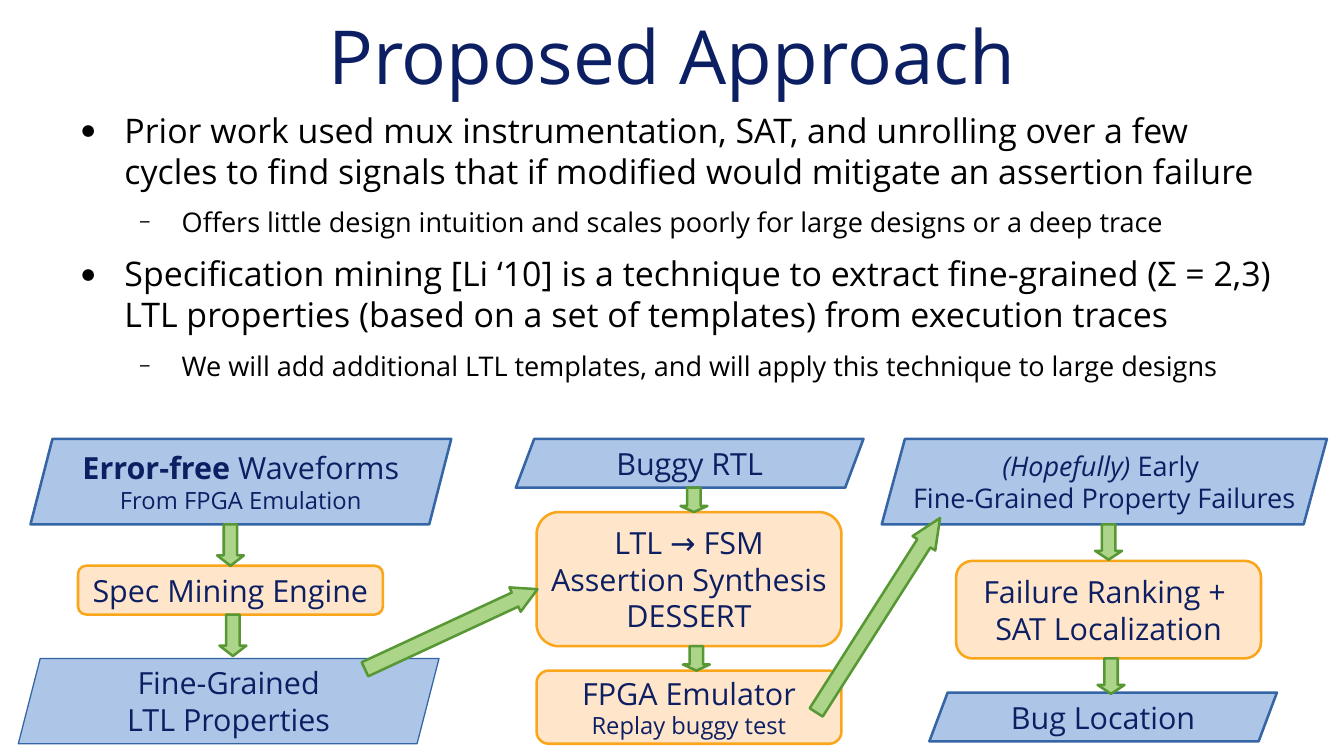
import pptx
import pptx.util
import pptx.dml.color
import pptx.enum.shapes
import pptx.enum.text
import pptx.oxml
from dataclasses import dataclass

# Content: text pieces are (text, format) pairs, one list per paragraph
TITLE = "Proposed Approach"
BULLETS = [
    (0, "Prior work used mux instrumentation, SAT, and unrolling over a few cycles "
        "to find signals that if modified would mitigate an assertion failure"),
    (1, "Offers little design intuition and scales poorly for large designs or a deep trace"),
    (0, "Specification mining [Li ‘10] is a technique to extract fine-grained (Σ = 2,3) "
        "LTL properties (based on a set of templates) from execution traces"),
    (1, "We will add additional LTL templates, and will apply this technique to large designs"),
]
BOLD, ITALIC, SMALL, MEDIUM = {"bold": True}, {"italic": True}, {"size": 14}, {"size": 16}

# Data: (left, top, width, height), slant, line width, paragraphs
DATA = [
    ((25, 360, 345, 70), 18, 1.5, [[("Error-free", BOLD), (" Waveforms", {})],
                                   [("From FPGA Emulation", SMALL)]]),
    ((15, 540, 345, 70), 18, 0, [[("Fine-Grained", {})], [("LTL Properties", {})]]),
    ((423, 360, 285, 40), 15, 1.5, [[("Buggy RTL", {})]]),
    ((723, 360, 365, 70), 19, 1.5, [[("(Hopefully)", MEDIUM | ITALIC), (" Early ", MEDIUM)],
                                    [("Fine-Grained Property Failures", MEDIUM)]]),
    ((762, 568, 285, 40), 15, 1.5, [[("Bug Location", {})]]),
]
# Steps: (left, top, height), paragraphs
STEPS = [
    ((64, 464, 40), [[("Spec Mining Engine", {})]]),
    ((440, 420, 110), [[("LTL → FSM", {})], [("Assertion Synthesis", {})], [("DESSERT", {})]]),
    ((440, 550, 60), [[("FPGA Emulator", {})], [("Replay buggy test", SMALL)]]),
    ((784, 460, 80), [[("Failure Ranking + ", {})], [("SAT Localization", {})]]),
]
STEP_W = 250
# Arrows: (left, top, length, rotation)
ARROWS = [
    (178, 430, 34, 0), (180, 504, 34, 0),
    (558, 400, 20, 0), (560, 530, 20, 0),
    (898, 430, 29, 0), (900, 540, 29, 0),
    (359, 438, 156, 245.1), (709, 410, 189, 212.5),
]
ARROW_W = 22


@dataclass
class Theme:
    font: str = "Open Sans"
    navy: str = "0D1F63"
    black: str = "000000"
    data: tuple = ("ADC5E7", "3465A4")
    step: tuple = ("FFE5CA", "FAA61A")
    arrow: tuple = ("ADD58A", "579835")
    title_size: int = 44
    box_size: int = 18
    bullet_sizes: tuple = (20, 16)


T = Theme()
PX = 9144  # 100 px to the inch
SHAPE = pptx.enum.shapes.MSO_SHAPE
ALIGN = pptx.enum.text.PP_ALIGN
ANCHOR = pptx.enum.text.MSO_ANCHOR


def px(*lengths):
    return [pptx.util.Emu(n * PX) for n in lengths]


def rgb(colour):
    return pptx.dml.color.RGBColor.from_string(colour)


def add_text(p, text, size=T.box_size, color=T.navy, bold=False, italic=False):
    r = p.add_run()
    r.text = text
    f = r.font
    f.name, f.size, f.bold, f.italic = T.font, pptx.util.Pt(size), bold, italic
    f.color.rgb = rgb(color)


def set_frame(tf, inset_x=0, inset_y=0, wrap=True, anchor=ANCHOR.TOP):
    tf.margin_left = tf.margin_right = px(inset_x)[0]
    tf.margin_top = tf.margin_bottom = px(inset_y)[0]
    tf.word_wrap, tf.vertical_anchor = wrap, anchor


def paragraphs(tf, count):
    return [tf.paragraphs[0]] + [tf.add_paragraph() for _ in range(count - 1)]


def add_bullet(p, mark, percent, left, hanging):
    pPr = p._p.get_or_add_pPr()
    pPr.set("marL", str(left * PX))
    pPr.set("indent", str(-hanging * PX))
    ns = 'xmlns:a="http://schemas.openxmlformats.org/drawingml/2006/main"'
    for xml in (f'<a:buClr {ns}><a:srgbClr val="{T.black}"/></a:buClr>',
                f'<a:buSzPct {ns} val="{percent * 1000}"/>',
                f'<a:buFont {ns} typeface="{T.font}"/>',
                f'<a:buChar {ns} char="{mark}"/>'):
        pPr.append(pptx.oxml.parse_xml(xml))


def add_shape(kind, box, colours, adjustments, line_width=1.5, text=()):
    sp = slide.shapes.add_shape(kind, *px(*box))
    sp.shadow.inherit = False
    for i, value in enumerate(adjustments):
        sp.adjustments[i] = value
    sp.fill.solid()
    sp.fill.fore_color.rgb = rgb(colours[0])
    sp.line.color.rgb = rgb(colours[1])
    sp.line.width = pptx.util.Pt(line_width)
    if text:
        set_frame(sp.text_frame, 11, 6, wrap=False, anchor=ANCHOR.MIDDLE)
        for p, pieces in zip(paragraphs(sp.text_frame, len(text)), text):
            p.alignment = ALIGN.CENTER
            for words, style in pieces:
                add_text(p, words, **style)
    return sp


prs = pptx.Presentation()
prs.slide_width, prs.slide_height = px(1102, 620)
slide = prs.slides.add_slide(prs.slide_layouts[6])

# Title
tf = slide.shapes.add_textbox(*px(55, -7, 992, 104)).text_frame
set_frame(tf, anchor=ANCHOR.MIDDLE)
tf.paragraphs[0].alignment = ALIGN.CENTER
add_text(tf.paragraphs[0], TITLE, size=T.title_size)

# Bullets
tf = slide.shapes.add_textbox(*px(55, 90, 992, 360)).text_frame
set_frame(tf)
for p, (level, words) in zip(paragraphs(tf, len(BULLETS)), BULLETS):
    p.level = level
    p.space_before = pptx.util.Pt(8.7)
    add_bullet(p, "●−"[level], (45, 75)[level], left=47 * (level + 1), hanging=35)
    add_text(p, words, size=T.bullet_sizes[level], color=T.black)

# Flow boxes
for box, slant, line_width, text in DATA:
    add_shape(SHAPE.PARALLELOGRAM, box, T.data, [slant / box[3]], line_width, text)
for (left, top, height), text in STEPS:
    add_shape(SHAPE.ROUNDED_RECTANGLE, (left, top, STEP_W, height), T.step, [0.167], text=text)

# Arrows: the head takes a fixed share of the length
for left, top, length, rotation in ARROWS:
    shaft, head = (0.577, 0.13) if rotation else (0.5, 0.25)
    sp = add_shape(SHAPE.DOWN_ARROW, (left, top, ARROW_W, length), T.arrow,
                   [shaft, head * length / min(ARROW_W, length)])
    sp.rotation = rotation

prs.save("out.pptx")
